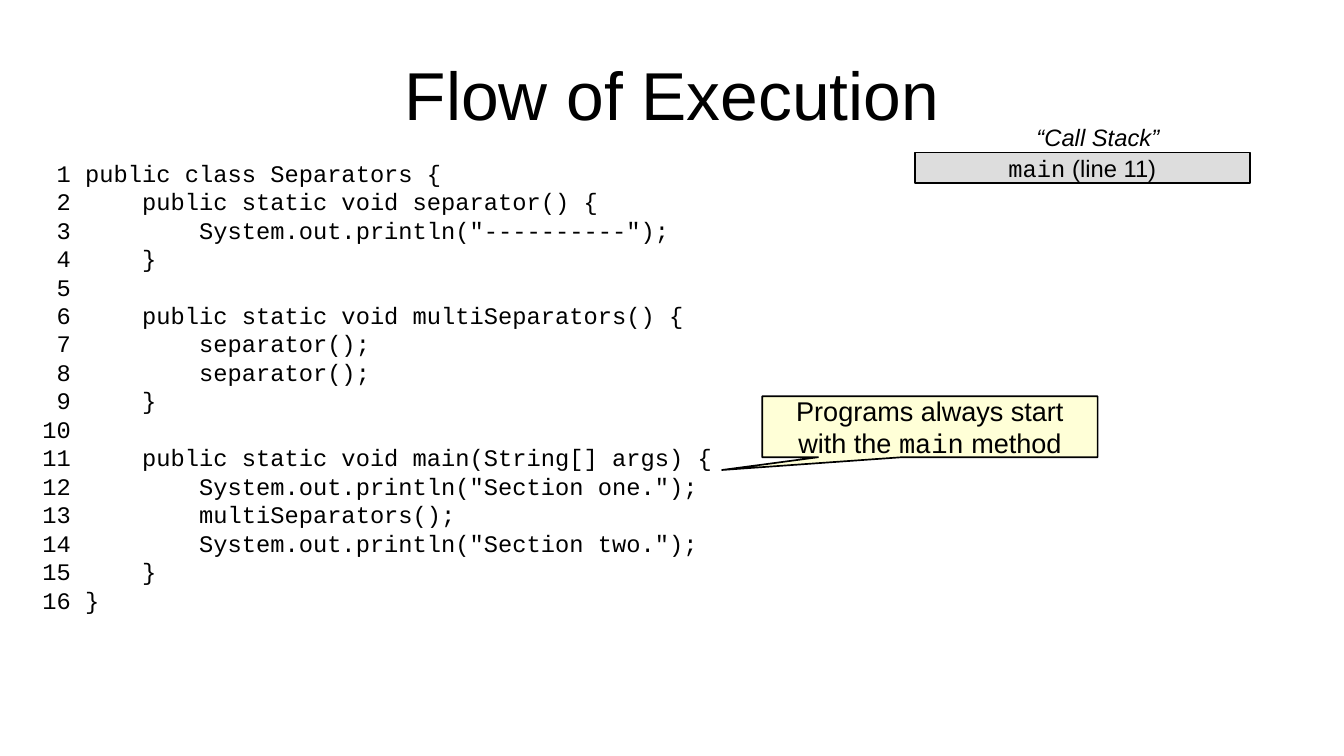
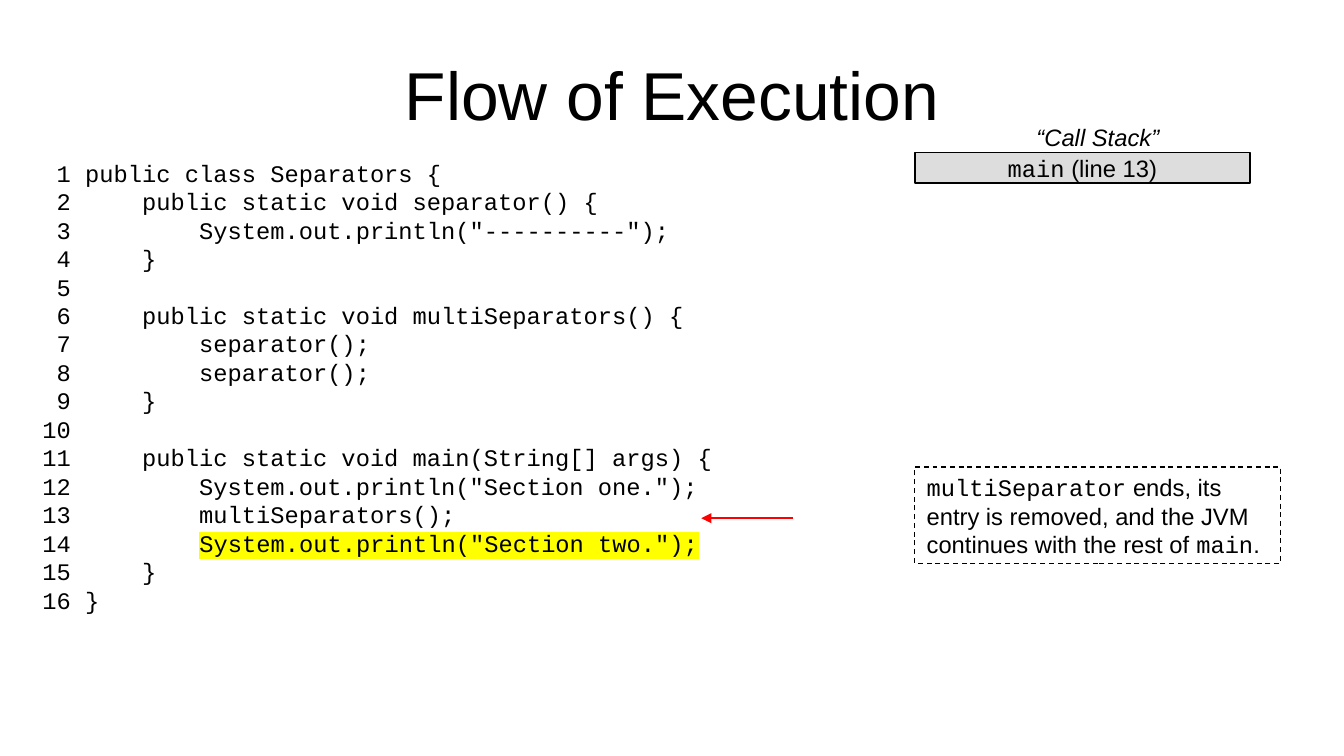
from dataclasses import dataclass
from typing import Optional

from lxml.etree import SubElement
from pptx import Presentation
from pptx.dml.color import RGBColor
from pptx.enum.dml import MSO_LINE
from pptx.enum.shapes import MSO_CONNECTOR, MSO_SHAPE
from pptx.enum.text import MSO_ANCHOR, MSO_AUTO_SIZE, PP_ALIGN
from pptx.oxml.ns import qn
from pptx.util import Inches, Pt

BLACK, GREY, CREAM = "000000", "DDDDDD", "FFFFD7"
RED, YELLOW = "FF0000", "FFFF00"
SANS, MONO = "Arial", "Courier New"

CODE = """public class Separators {
    public static void separator() {
        System.out.println("----------");
    }

    public static void multiSeparators() {
        separator();
        separator();
    }

    public static void main(String[] args) {
        System.out.println("Section one.");
        multiSeparators();
        System.out.println("Section two.");
    }
}"""


@dataclass
class Box:
    """A box with text; words between backticks are set as code."""
    text: str
    left: float
    top: float
    width: float
    height: float
    kind: Optional[MSO_SHAPE] = None
    fill: Optional[str] = None
    weight: float = 0.99
    dash: Optional[MSO_LINE] = None
    size: int = 14
    font: str = SANS
    italic: bool = False
    mark: Optional[str] = None
    align: PP_ALIGN = PP_ALIGN.LEFT
    anchor: MSO_ANCHOR = MSO_ANCHOR.TOP
    wrap: bool = True
    inset: tuple = (0.1, 0.05)


def color(code: str) -> RGBColor:
    """Turn a hex string into a colour."""
    return RGBColor.from_string(code)


def write(frame, text: str, size: int = 14, font: str = SANS,
          italic: bool = False, mark: Optional[str] = None,
          align: PP_ALIGN = PP_ALIGN.LEFT, anchor: MSO_ANCHOR = MSO_ANCHOR.TOP,
          wrap: bool = True, inset: tuple = (0.1, 0.05)) -> None:
    """Fill a text frame, one paragraph a line, with backticks around code."""
    frame.auto_size = MSO_AUTO_SIZE.NONE
    frame.word_wrap = wrap
    frame.vertical_anchor = anchor
    frame.margin_left = frame.margin_right = Inches(inset[0])
    frame.margin_top = frame.margin_bottom = Inches(inset[1])
    for row, line in enumerate(text.split("\n")):
        para = frame.add_paragraph() if row else frame.paragraphs[0]
        para.alignment = align
        for pos, part in enumerate(line.split("`")):
            if not part:
                continue
            run = para.add_run()
            run.text = part
            run.font.size = Pt(size)
            run.font.italic = italic
            run.font.color.rgb = color(BLACK)
            if mark and pos % 2:
                light = SubElement(run._r.get_or_add_rPr(), qn("a:highlight"))
                SubElement(light, qn("a:srgbClr")).set("val", mark)
            run.font.name = MONO if pos % 2 else font


def draw(slide, box: Box):
    """Draw a box with its text and return its shape."""
    place = [Inches(x) for x in (box.left, box.top, box.width, box.height)]
    if box.kind is None:
        shape = slide.shapes.add_textbox(*place)
    else:
        shape = slide.shapes.add_shape(box.kind, *place)
        shape.shadow.inherit = False
        shape.line.color.rgb = color(BLACK)
        shape.line.width = Pt(box.weight)
        if box.dash:
            shape.line.dash_style = box.dash
        if box.fill:
            shape.fill.solid()
            shape.fill.fore_color.rgb = color(box.fill)
        else:
            shape.fill.background()
    write(shape.text_frame, box.text, size=box.size, font=box.font,
          italic=box.italic, mark=box.mark, align=box.align,
          anchor=box.anchor, wrap=box.wrap, inset=box.inset)
    return shape


def label(text: str, left: float, top: float, width: float, height: float,
          kind: MSO_SHAPE, fill: str, size: int = 14) -> Box:
    """Describe a filled box with centred text."""
    return Box(text, left, top, width, height, kind, fill, size=size,
               align=PP_ALIGN.CENTER, anchor=MSO_ANCHOR.MIDDLE,
               wrap=False, inset=(0.11, 0.06))


def arrow(slide, start: float, end: float, top: float) -> None:
    """Draw a level red arrow."""
    line = slide.shapes.add_connector(
        MSO_CONNECTOR.STRAIGHT, Inches(start), Inches(top), Inches(end), Inches(top))
    line.line.color.rgb = color(RED)
    line.line.width = Pt(1.5)
    props = line.element.spPr
    SubElement(props.find(qn("a:ln")), qn("a:tailEnd")).set("type", "triangle")
    SubElement(props, qn("a:effectLst"))


def listing(mark: int = 0) -> str:
    """Number the code and put backticks around the marked line."""
    rows = []
    for num, line in enumerate(CODE.split("\n"), 1):
        if num == mark:
            word = line.lstrip()
            line = line.replace(word, f"`{word}`")
        rows.append(f"{num:>2} {line}".rstrip())
    return "\n".join(rows)


def page(deck, line: int, mark: int = 0):
    """Add a slide with the title, the code and the call stack."""
    slide = deck.slides.add_slide(deck.slide_layouts[5])
    title = slide.shapes.title
    title.left, title.top = Inches(0.55), Inches(0.25)
    title.width, title.height = Inches(9.92), Inches(1.04)
    write(title.text_frame, "Flow of Execution", size=40,
          align=PP_ALIGN.CENTER, anchor=MSO_ANCHOR.MIDDLE, inset=(0, 0))
    draw(slide, Box(listing(mark), 0.25, 1.25, 5.7, 3.62, font=MONO, mark=YELLOW))
    draw(slide, Box("“Call Stack”", 8.4, 0.96, 1.21, 0.32, italic=True, wrap=False))
    draw(slide, label(f"`main` (line {line})", 7.5, 1.25, 2.75, 0.25,
                      MSO_SHAPE.RECTANGLE, GREY))
    return slide


def main() -> None:
    """Build and save the deck."""
    deck = Presentation()
    deck.slide_width, deck.slide_height = Inches(11.02), Inches(6.2)

    first = page(deck, 11)
    hint = draw(first, label("Programs always start\nwith the `main` method",
                             6.25, 3.25, 2.75, 0.5,
                             MSO_SHAPE.RECTANGULAR_CALLOUT, CREAM, size=16))
    hint.adjustments[0], hint.adjustments[1] = -0.62, 0.71

    second = page(deck, 13, mark=14)
    draw(second, Box("`multiSeparator` ends, its entry is removed, and the JVM "
                     "continues with the rest of `main`.", 7.5, 3.83, 3, 0.79,
                     MSO_SHAPE.RECTANGLE, weight=0.75, dash=MSO_LINE.DASH))
    arrow(second, 6.5, 5.75, 4.25)

    deck.save("out.pptx")


main()
